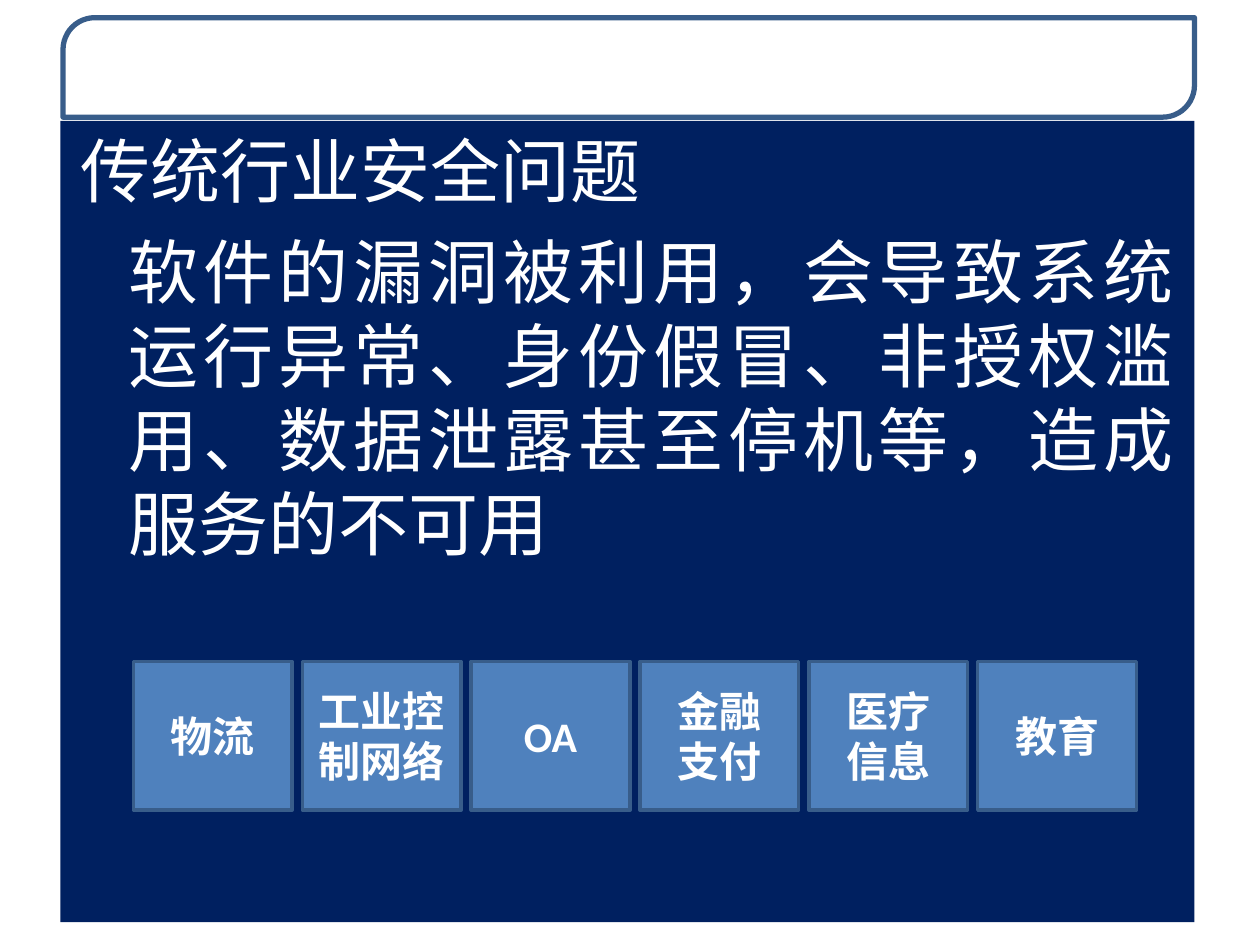
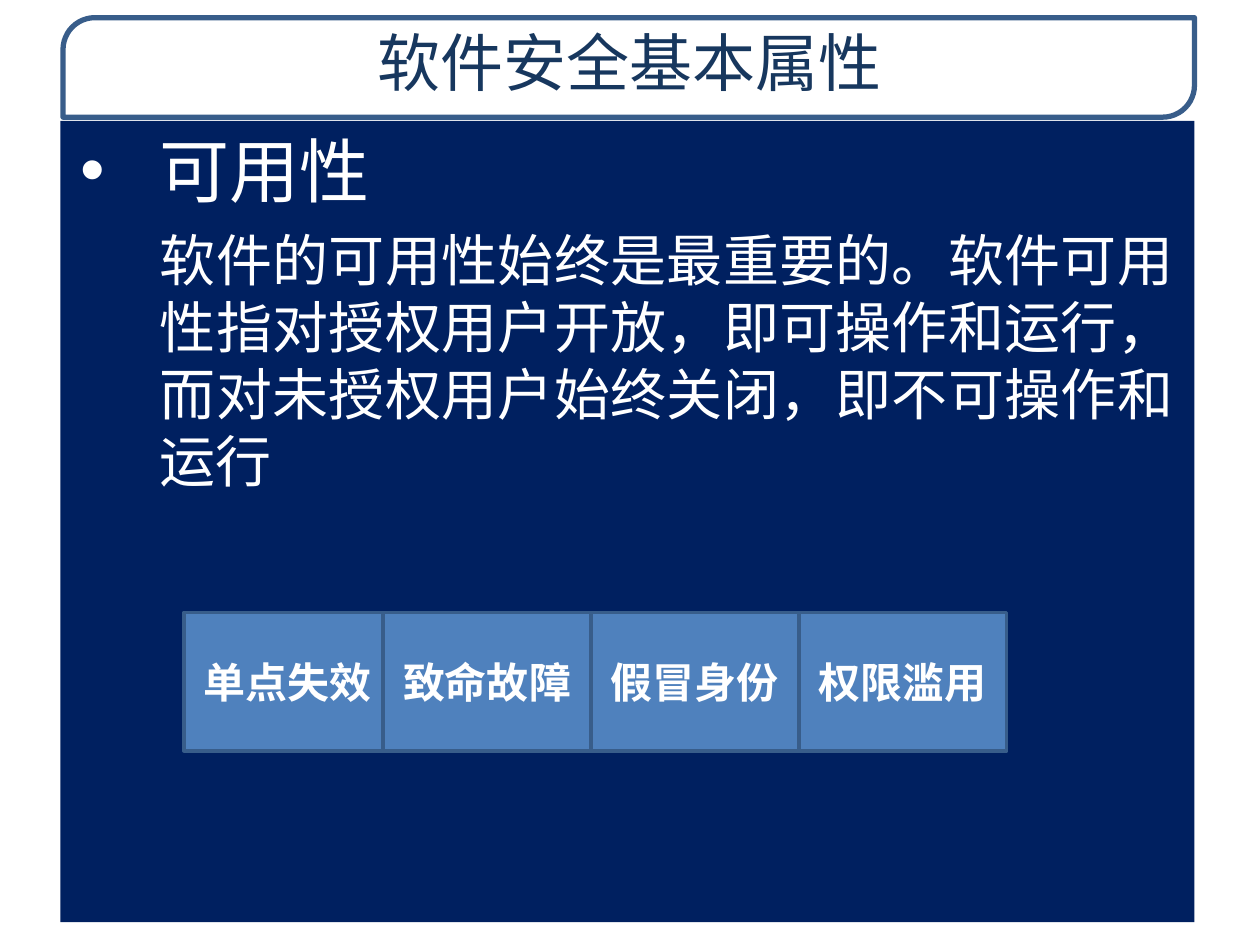
"""Build two slides on software security in a shared framed style."""
from dataclasses import dataclass

from lxml.etree import SubElement
from pptx import Presentation
from pptx.dml.color import RGBColor as Color
from pptx.enum.shapes import MSO_SHAPE as Shape
from pptx.enum.text import MSO_ANCHOR as Anchor, MSO_AUTO_SIZE as AutoSize, PP_ALIGN as Align
from pptx.oxml.ns import qn
from pptx.util import Inches, Pt


@dataclass(frozen=True)
class Theme:
    white: str = "FFFFFF"
    navy: str = "002060"
    blue: str = "4F81BD"
    edge: str = "385D8A"
    title_ink: str = "17375E"
    text_font: str = "Noto Sans CJK SC"
    tile_font: str = "Calibri"
    title_size: int = 36
    heading_size: int = 40
    body_size: int = 32
    tile_size: int = 24


class Deck:
    def __init__(self, theme):
        self.theme = theme
        self.deck = Presentation()
        self.deck.slide_width, self.deck.slide_height = Inches(10), Inches(7.5)
        self.page = None

    def add_page(self, title=None):
        layout = "Title Only" if title else "Blank"
        self.page = self.deck.slides.add_slide(self.deck.slide_layouts.get_by_name(layout))
        frame = self.add_box(Shape.ROUND_2_DIAG_RECTANGLE, (0.5, 0.14, 8.98, 0.79), self.theme.white, 3)
        frame.adjustments[0], frame.adjustments[1] = 0.32, 0
        if title:
            box = self.page.shapes.title
            box.element.addprevious(frame.element)
            self.place_title(box, title)

    def place_title(self, box, title):
        box.left, box.top, box.width, box.height = map(Inches, (0.51, 0.14, 8.97, 0.76))
        box.text_frame.text = title
        box.text_frame.auto_size = AutoSize.NONE
        box.text_frame.vertical_anchor = Anchor.TOP
        para = box.text_frame.paragraphs[0]
        para.alignment = Align.CENTER
        self.style(para, self.theme.text_font, self.theme.title_size, self.theme.title_ink)

    def style(self, para, font, size, color, bold=False):
        para.font.name, para.font.size, para.font.bold = font, Pt(size), bold
        para.font.color.rgb = Color.from_string(color)

    def add_box(self, kind, place, fill, line_width=0):
        box = self.page.shapes.add_shape(kind, *map(Inches, place))
        box.shadow.inherit = False
        box.fill.solid()
        box.fill.fore_color.rgb = Color.from_string(fill)
        if line_width:
            box.line.color.rgb = Color.from_string(self.theme.edge)
            box.line.width = Pt(line_width)
        else:
            box.line.fill.background()
        return box

    def add_panel(self, heading, body, indent, body_size, space, bullet=False):
        box = self.add_box(Shape.RECTANGLE, (0.48, 0.96, 9, 6.36), self.theme.navy)
        text = box.text_frame
        text.word_wrap, text.vertical_anchor = True, Anchor.TOP
        text.margin_left = text.margin_right = Inches(0.16)
        text.text = f"{heading}\n{body}"
        first, second = text.paragraphs
        self.set_indent(first, indent, -indent)
        self.set_indent(second, indent, 0)
        if bullet:
            self.add_bullet(first)
        second.space_before = Pt(space)
        for para, size in ((first, self.theme.heading_size), (second, body_size)):
            para.alignment = Align.JUSTIFY
            self.style(para, self.theme.text_font, size, self.theme.white)

    def set_indent(self, para, margin, indent):
        props = para._p.get_or_add_pPr()
        props.set("marL", str(Inches(margin)))
        props.set("indent", str(Inches(indent)))

    def add_bullet(self, para):
        props = para._p.get_or_add_pPr()
        color = SubElement(props, qn("a:buClr"))
        SubElement(color, qn("a:srgbClr"), val=self.theme.white)
        SubElement(props, qn("a:buFont"), typeface="Arial")
        SubElement(props, qn("a:buChar"), char="•")

    def add_tiles(self, labels, lefts, top, width, height):
        for label, left in zip(labels, lefts):
            box = self.add_box(Shape.RECTANGLE, (left, top, width, height), self.theme.blue, 2)
            box.text_frame.word_wrap = True
            box.text_frame.vertical_anchor = Anchor.MIDDLE
            box.text_frame.text = label
            for para in box.text_frame.paragraphs:
                para.alignment = Align.CENTER
                self.style(para, self.theme.tile_font, self.theme.tile_size, self.theme.white, bold=True)


def main():
    theme = Theme()
    deck = Deck(theme)

    deck.add_page()
    deck.add_panel(
        "传统行业安全问题",
        "软件的漏洞被利用，会导致系统运行异常、身份假冒、非授权滥用、数据泄露甚至停机等，造成服务的不可用",
        indent=0.38, body_size=theme.heading_size, space=10)
    industries = ["物流", "工业控制网络", "OA", "金融\n支付", "医疗\n信息", "教育"]
    deck.add_tiles(industries, [1.06 + 1.34 * i for i in range(6)], 5.25, 1.26, 1.18)

    deck.add_page("软件安全基本属性")
    deck.add_panel(
        "可用性",
        "软件的可用性始终是最重要的。软件可用性指对授权用户开放，即可操作和运行，而对未授权用户始终关闭，即不可操作和运行",
        indent=0.63, body_size=theme.body_size, space=8, bullet=True)
    threats = ["单点失效", "致命故障", "假冒身份", "权限滥用"]
    deck.add_tiles(threats, [1.46] + [3.04 + 1.65 * i for i in range(3)], 4.86, 1.65, 1.1)

    deck.deck.save("out.pptx")


if __name__ == "__main__":
    main()
